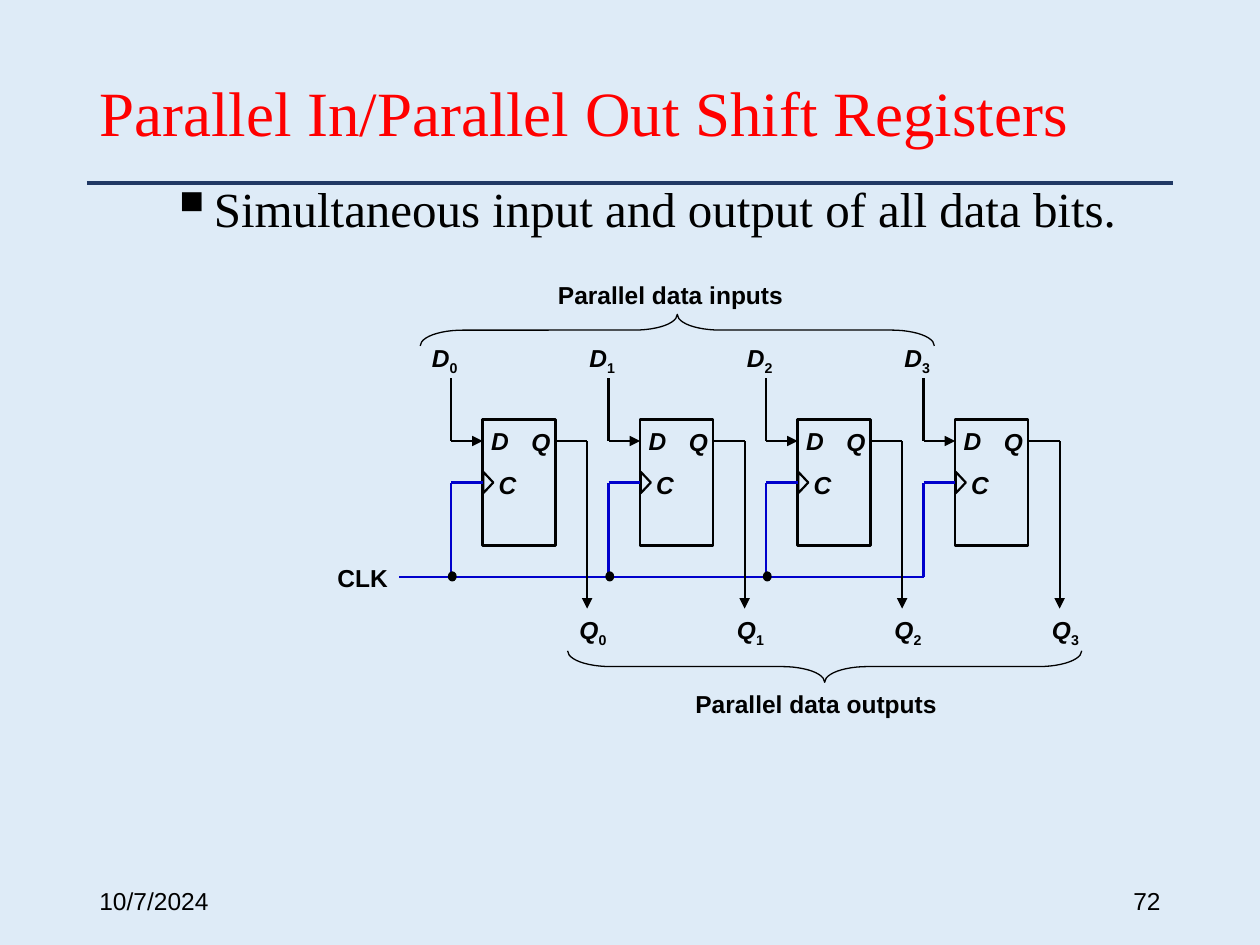
from lxml.etree import SubElement
from pptx import Presentation
from pptx.dml.color import RGBColor
from pptx.enum.shapes import MSO_CONNECTOR as Connector, MSO_SHAPE as Shape
from pptx.enum.text import MSO_ANCHOR as Anchor, MSO_AUTO_SIZE as AutoSize, PP_ALIGN as Align
from pptx.oxml.ns import qn
from pptx.util import Inches, Pt

BACKGROUND = RGBColor(0xDE, 0xEB, 0xF7)
NAVY = RGBColor(0x20, 0x38, 0x64)
RED = RGBColor(0xFF, 0x00, 0x00)
BLACK = RGBColor(0x00, 0x00, 0x00)
CLOCK_BLUE = RGBColor(0x00, 0x00, 0xCC)
SERIF = "Times New Roman"
SANS = "Arial"

STAGES = 4
STAGE_PITCH = 1.25
FIRST_LEFT = 3.83
FLIP_WIDTH, FLIP_HEIGHT = 0.58, 1
LEAD = 0.25
FLIP_TOP, DATA_Y, CLOCK_Y, BUS_Y = 3.33, 3.5, 3.83, 4.58
INPUT_Y, OUTPUT_Y = 3, 4.83


def style_span(span, size=14, font=SANS, color=BLACK, bold=False, italic=False):
    """Set the character format of a run."""
    span.font.size = Pt(size)
    span.font.name = font
    span.font.color.rgb = color
    span.font.bold = bold
    span.font.italic = italic


def add_text(page, text, left, top, width, height, subscript="", wrap=True,
             anchor=Anchor.TOP, align=Align.LEFT, **style):
    """Add a text box with one paragraph and return that paragraph."""
    box = page.shapes.add_textbox(Inches(left), Inches(top), Inches(width), Inches(height))
    frame = box.text_frame
    frame.word_wrap = wrap
    frame.vertical_anchor = anchor
    para = frame.paragraphs[0]
    para.alignment = align
    span = para.add_run()
    span.text = text
    style_span(span, **style)
    if subscript:
        index = para.add_run()
        index.text = subscript
        style_span(index, **{**style, "italic": False})
        index.font._element.set("baseline", "-25000")
    return para


def add_symbol(page, text, left, top, width=0.34, subscript=""):
    """Add a bold italic signal name."""
    add_text(page, text, left, top, width, 0.33, subscript=subscript, wrap=False,
             bold=True, italic=True)


def add_wire(page, start, end, color=BLACK, width=1.25, arrow=False):
    """Add a straight line, with an arrowhead at its end on request."""
    points = [Inches(value) for value in (*start, *end)]
    wire = page.shapes.add_connector(Connector.STRAIGHT, *points)
    wire.line.color.rgb = color
    wire.line.width = Pt(width)
    if arrow:
        SubElement(wire.line._get_or_add_ln(), qn("a:tailEnd"), type="triangle")
    SubElement(wire._element.spPr, qn("a:effectLst"))
    return wire


def add_outline(page, kind, left, top, width, height, line=1.25, rotation=0, fill=None):
    """Add a preset shape with a black outline."""
    shape = page.shapes.add_shape(kind, Inches(left), Inches(top), Inches(width), Inches(height))
    shape.shadow.inherit = False
    shape.rotation = rotation
    shape.line.color.rgb = BLACK
    shape.line.width = Pt(line)
    if fill is None:
        shape.fill.background()
    else:
        shape.fill.solid()
        shape.fill.fore_color.rgb = fill
    return shape


def add_brace(page, left, top, rotation):
    """Add a wide curly brace turned to lie flat."""
    brace = add_outline(page, Shape.LEFT_BRACE, left, top, 0.25, 4.08, line=0.75, rotation=rotation)
    brace.adjustments[0] = 1.36


def add_stage(page, number):
    """Add one flip-flop with its data, clock and output wiring."""
    left = FIRST_LEFT + number * STAGE_PITCH
    right = left + FLIP_WIDTH
    feed, drop = left - LEAD, right + LEAD
    flip_flop = add_outline(page, Shape.RECTANGLE, left, FLIP_TOP, FLIP_WIDTH, FLIP_HEIGHT, line=1.5)
    add_outline(page, Shape.ISOSCELES_TRIANGLE, left - 0.04, CLOCK_Y - 0.04, 0.17, 0.08, rotation=90)
    add_symbol(page, "D", left - 0.03, FLIP_TOP)
    add_symbol(page, "C", left + 0.03, 3.68)
    add_symbol(page, "Q", left + 0.29, 3.34)

    add_wire(page, (feed, INPUT_Y), (feed, DATA_Y))
    add_wire(page, (feed, DATA_Y), (left, DATA_Y), arrow=True)
    add_wire(page, (right, DATA_Y), (drop, DATA_Y))
    add_wire(page, (drop, DATA_Y), (drop, OUTPUT_Y), arrow=True)
    add_wire(page, (feed, BUS_Y), (feed, CLOCK_Y), color=CLOCK_BLUE)
    clock = add_wire(page, (feed, CLOCK_Y), (left, CLOCK_Y), color=CLOCK_BLUE)
    clock.end_connect(flip_flop, 1)
    if number < STAGES - 1:
        add_outline(page, Shape.OVAL, feed - 0.02, BUS_Y - 0.04, 0.06, 0.07, line=0.75, fill=BLACK)

    add_symbol(page, "D", feed - 0.25, 2.67, width=0.41, subscript=str(number))
    add_symbol(page, "Q", drop - 0.16, OUTPUT_Y, width=0.42, subscript=str(number))


def add_title(page, text):
    """Place and format the title placeholder."""
    title = page.shapes.title
    title.left, title.top = Inches(0.69), Inches(0.4)
    title.width, title.height = Inches(8.62), Inches(1.05)
    frame = title.text_frame
    frame.auto_size = AutoSize.NONE
    frame.vertical_anchor = Anchor.MIDDLE
    para = frame.paragraphs[0]
    para.alignment = Align.LEFT
    para.line_spacing = 0.9
    span = para.add_run()
    span.text = text
    style_span(span, size=36, font=SERIF, color=RED)


def add_bullet(page, text):
    """Add the bulleted statement under the title."""
    para = add_text(page, text, 1.25, 1.42, 8.42, 0.58, size=28, font=SERIF)
    properties = para._p.get_or_add_pPr()
    properties.set("marL", str(Inches(0.25)))
    properties.set("indent", str(-Inches(0.25)))
    SubElement(properties, qn("a:buSzPct"), val="120000")
    SubElement(properties, qn("a:buChar"), char="▪")
    para.line_spacing = 0.9


def main():
    """Build the shift register slide."""
    deck = Presentation()
    deck.slide_width, deck.slide_height = Inches(10), Inches(7.5)
    page = deck.slides.add_slide(deck.slide_layouts[5])
    page.background.fill.solid()
    page.background.fill.fore_color.rgb = BACKGROUND

    add_wire(page, (0.69, 1.45), (9.31, 1.45), color=NAVY, width=2.25)
    add_title(page, "Parallel In/Parallel Out Shift Registers")
    add_bullet(page, "Simultaneous input and output of all data bits.")

    bus_end = FIRST_LEFT - LEAD + (STAGES - 1) * STAGE_PITCH
    add_wire(page, (3.17, BUS_Y), (bus_end, BUS_Y), color=CLOCK_BLUE)
    add_text(page, "CLK", 2.58, 4.42, 0.6, 0.33, wrap=False, bold=True)
    for number in range(STAGES):
        add_stage(page, number)

    add_text(page, "Parallel data inputs", 4.33, 2.17, 2, 0.33, bold=True)
    add_brace(page, 5.25, 0.58, rotation=90)
    add_text(page, "Parallel data outputs", 5.42, 5.42, 2.17, 0.33, bold=True)
    add_brace(page, 6.42, 3.25, rotation=270)

    add_text(page, "10/7/2024", 0.69, 6.95, 2.25, 0.4, anchor=Anchor.MIDDLE)
    add_text(page, "72", 7.06, 6.95, 2.25, 0.4, anchor=Anchor.MIDDLE, align=Align.RIGHT)
    deck.save("out.pptx")


if __name__ == "__main__":
    main()
